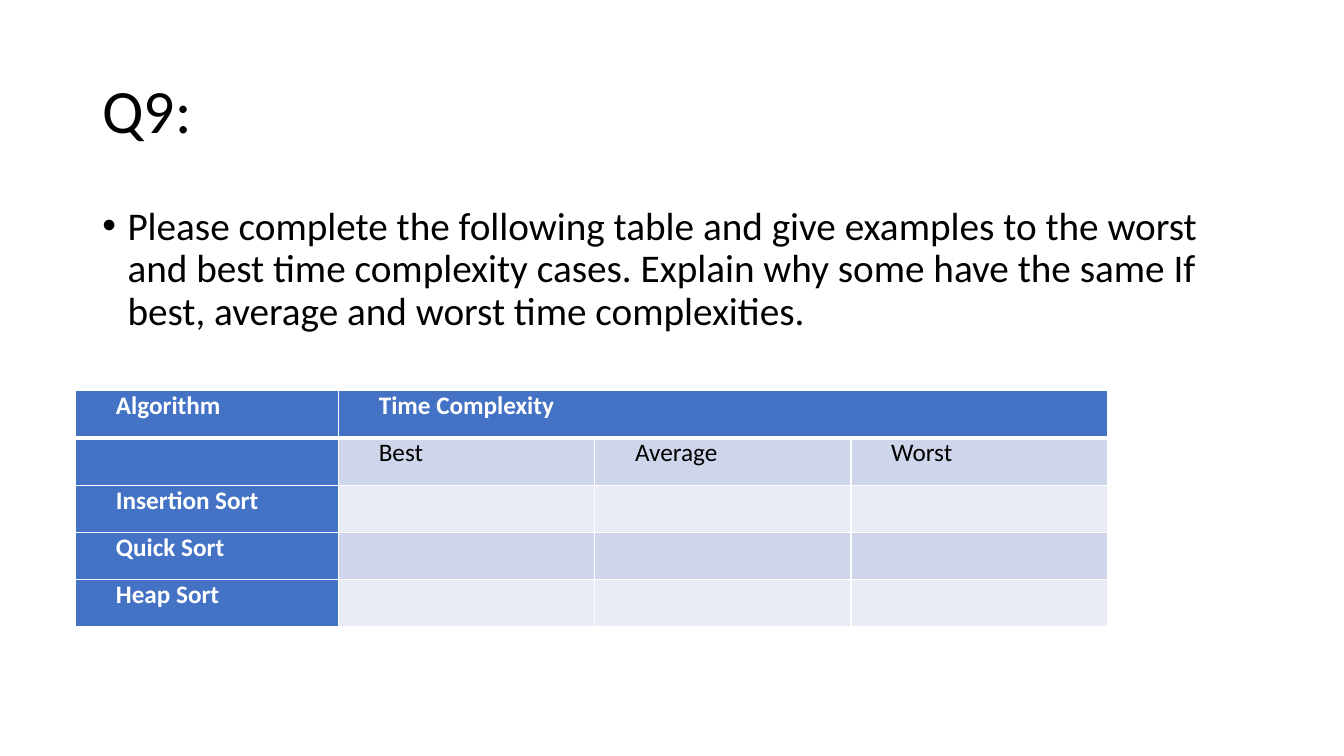
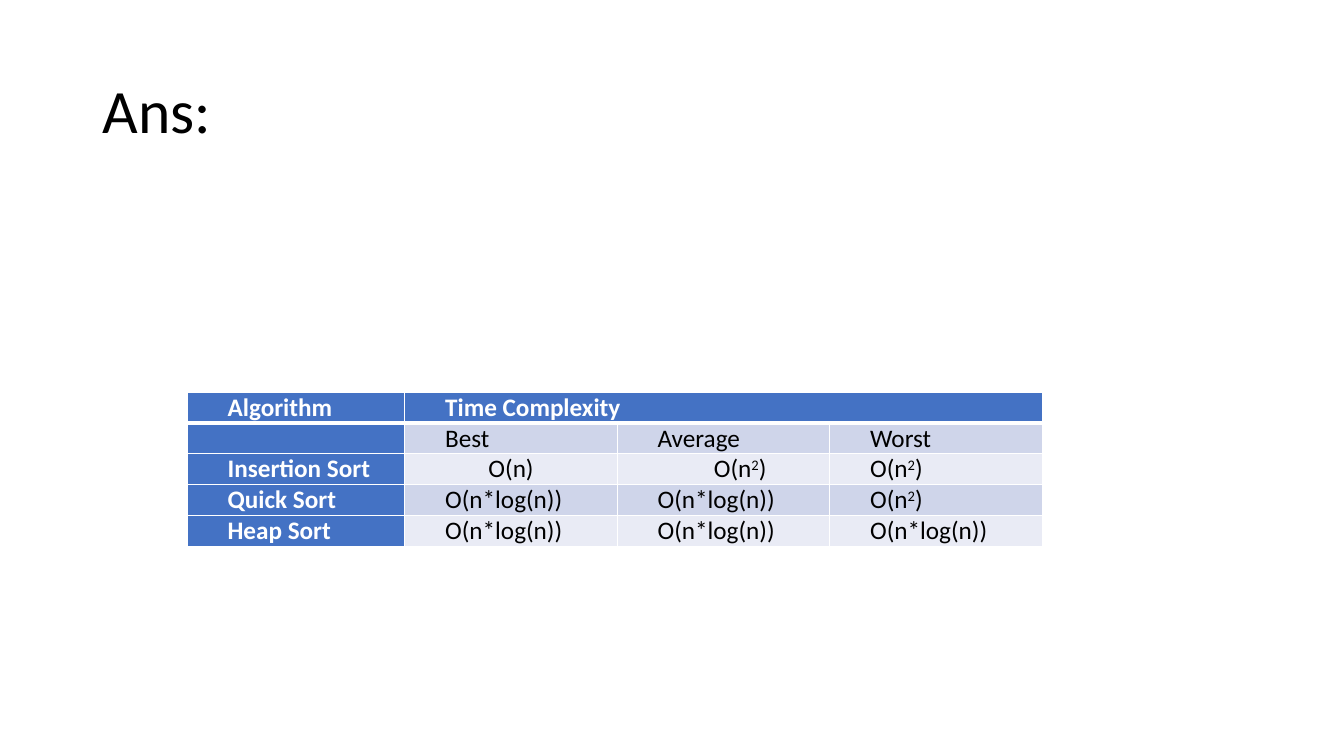
import pptx
import pptx.dml.color
import pptx.enum.text
import pptx.oxml.ns
import pptx.util
import lxml.etree

ALIGN = pptx.enum.text.PP_ALIGN
ANCHOR = pptx.enum.text.MSO_ANCHOR
COLUMNS, ROWS = 160, 90
COLORS = {
    "text": "000000",
    "light": "FFFFFF",
    "header": "4472C4",
    "band_dark": "CFD5EA",
    "band_light": "E9EBF5",
}
CELL_INDENT = pptx.util.Inches(0.33)
CELL_FORMAT = {
    "margin_left": pptx.util.Inches(0.07),
    "margin_right": pptx.util.Inches(0.07),
    "margin_top": 0,
    "margin_bottom": 0,
}


def apply(target, values):
    for name, value in values.items():
        setattr(target, name, value)


def add_xml(parent, tag, **attributes):
    return lxml.etree.SubElement(parent, pptx.oxml.ns.qn(tag), attributes)


class Deck:
    def __init__(self):
        self.presentation = pptx.Presentation()
        self.presentation.slide_width = pptx.util.Inches(13.33)
        self.presentation.slide_height = pptx.util.Inches(7.5)
        self.slide = None

    def x(self, columns):
        return round(self.presentation.slide_width * columns / COLUMNS)

    def y(self, rows):
        return round(self.presentation.slide_height * rows / ROWS)

    def box(self, left, top, width, height):
        return {"left": self.x(left), "top": self.y(top),
                "width": self.x(width), "height": self.y(height)}

    def add_text(self, paragraph, text, size, color="text", bold=False):
        base, _, rest = text.partition("^")
        for part, baseline in ((base, 0), (rest[:1], 30000), (rest[1:], 0)):
            if part:
                run = paragraph.add_run()
                run.text = part
                apply(run.font, {"name": "Calibri", "size": pptx.util.Pt(size), "bold": bold})
                run.font.color.rgb = pptx.dml.color.RGBColor.from_string(COLORS[color])
                if baseline:
                    run.font._element.set("baseline", str(baseline))

    def add_slide(self, heading):
        layout = self.presentation.slide_layouts.get_by_name("Title Only")
        self.slide = self.presentation.slides.add_slide(layout)
        title = self.slide.shapes.title
        apply(title, self.box(11, 4.8, 138, 17.4))
        apply(title.text_frame, {"vertical_anchor": ANCHOR.MIDDLE, "word_wrap": True})
        paragraph = title.text_frame.paragraphs[0]
        apply(paragraph, {"alignment": ALIGN.LEFT, "line_spacing": 0.9})
        self.add_text(paragraph, heading, 44)

    def add_bullet(self, text):
        body = self.slide.shapes.add_textbox(**self.box(11, 24, 138, 57.1))
        body.text_frame.word_wrap = True
        paragraph = body.text_frame.paragraphs[0]
        apply(paragraph, {"line_spacing": 0.9, "space_before": pptx.util.Pt(10)})
        properties = paragraph._p.get_or_add_pPr()
        indent = pptx.util.Inches(0.25)
        properties.set("marL", str(indent))
        properties.set("indent", str(-indent))
        add_xml(properties, "a:buFont", typeface="Arial")
        add_xml(properties, "a:buChar", char="•")
        self.add_text(paragraph, text, 28)

    def add_borders(self, cell, row):
        properties = cell._tc.get_or_add_tcPr()
        widths = {"L": 1, "R": 1, "T": 3 if row == 1 else 1, "B": 3 if row == 0 else 1}
        for side, width in widths.items():
            line = add_xml(properties, f"a:ln{side}", w=str(pptx.util.Pt(width)))
            add_xml(add_xml(line, "a:solidFill"), "a:srgbClr", val=COLORS["light"])

    def add_complexity_table(self, left, top, widths, row_height, results, indents=None):
        content = [["Algorithm", "Time Complexity", "", ""],
                   ["", "Best", "Average", "Worst"]]
        content += [[algorithm, *cases] for algorithm, cases in results.items()]
        place = self.box(left, top, sum(widths), row_height * len(content))
        table = self.slide.shapes.add_table(len(content), len(widths), **place).table
        for column, width in zip(table.columns, widths):
            column.width = self.x(width)
        for row in table.rows:
            row.height = self.y(row_height)
        for row, texts in enumerate(content):
            band = "band_dark" if row % 2 else "band_light"
            for column, text in enumerate(texts):
                heading = row == 0 or column == 0
                cell = table.cell(row, column)
                apply(cell, CELL_FORMAT)
                self.add_borders(cell, row)
                cell.fill.solid()
                cell.fill.fore_color.rgb = pptx.dml.color.RGBColor.from_string(
                    COLORS["header" if heading else band])
                paragraph = cell.text_frame.paragraphs[0]
                centred = (indents or {}).get((row, column))
                paragraph.alignment = ALIGN.LEFT if centred is None else ALIGN.CENTER
                indent = CELL_INDENT if centred is None else centred
                paragraph._p.get_or_add_pPr().set("marL", str(indent))
                self.add_text(paragraph, text, 18, "light" if heading else "text", heading)
        table.cell(0, 1).merge(table.cell(0, len(widths) - 1))


def main():
    deck = Deck()
    algorithms = ["Insertion Sort", "Quick Sort", "Heap Sort"]

    deck.add_slide("Q9:")
    deck.add_bullet("Please complete the following table and give examples to the worst "
                    "and best time complexity cases. Explain why some have the same If "
                    "best, average and worst time complexities.")
    deck.add_complexity_table(9, 46.5, [31.3] + [30.5] * 3, 5.63,
                              {algorithm: [""] * 3 for algorithm in algorithms})

    deck.add_slide("Ans:")
    linear, square, log_linear = "O(n)", "O(n^2)", "O(n*log(n))"
    answers = [[linear, square, square],
               [log_linear, log_linear, square],
               [log_linear] * 3]
    deck.add_complexity_table(22.3, 46.7, [25.9] + [25.3] * 3, 3.6,
                              dict(zip(algorithms, answers)),
                              indents={(2, 1): 0, (2, 2): CELL_INDENT})

    deck.presentation.save("out.pptx")


if __name__ == "__main__":
    main()
